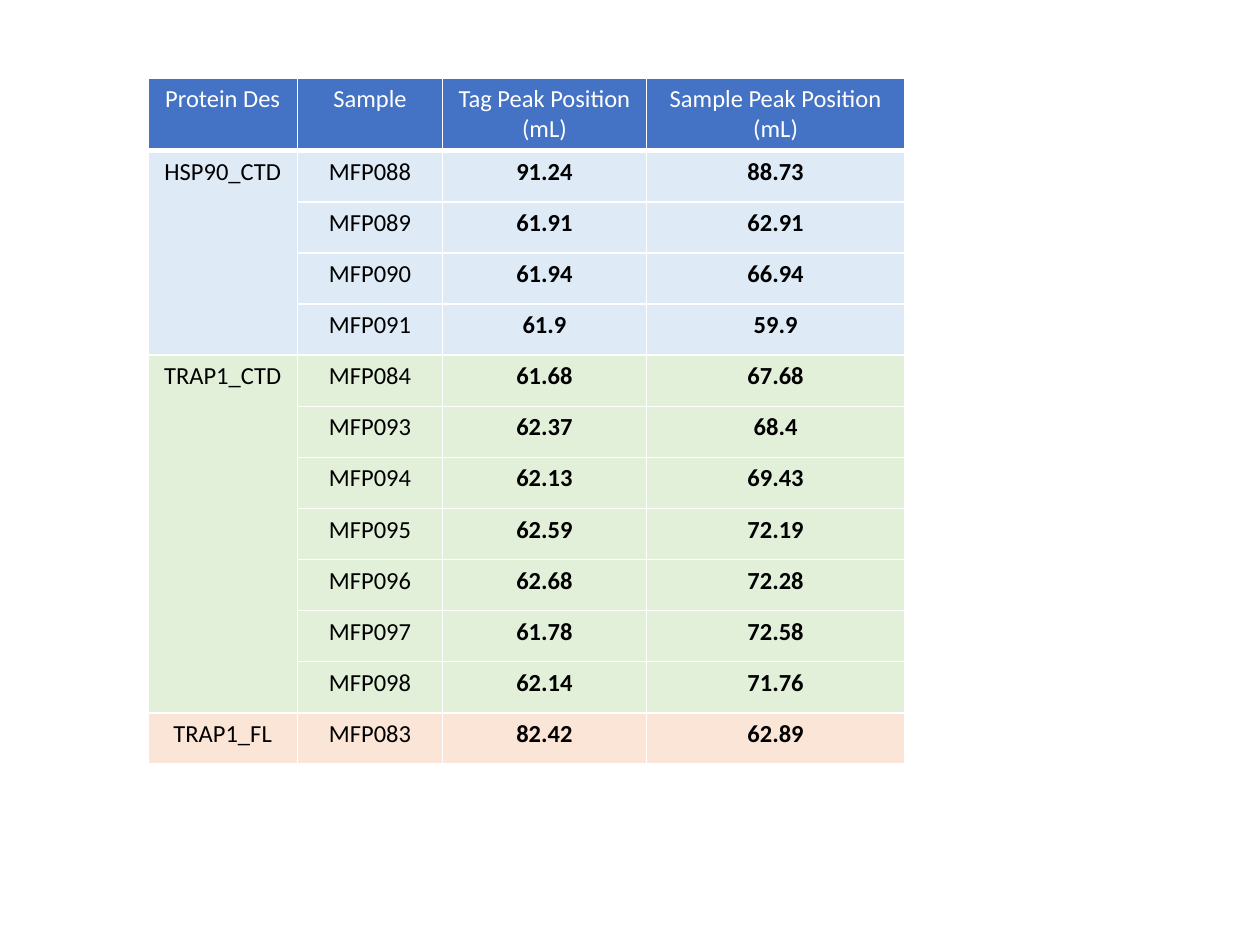
"""Build a slide with a table of protein tag and sample peak positions."""
from lxml import etree
from pptx import Presentation
from pptx import util as u
from pptx.dml.color import RGBColor
from pptx.enum import text
from pptx.oxml import ns

HEADERS = ["Protein Des", "Sample", "Tag Peak Position (mL)", "Sample Peak Position (mL)"]
GROUPS = [
    ("HSP90_CTD", "DEEBF7", [
        ("MFP088", "91.24", "88.73"),
        ("MFP089", "61.91", "62.91"),
        ("MFP090", "61.94", "66.94"),
        ("MFP091", "61.9", "59.9"),
    ]),
    ("TRAP1_CTD", "E2F0D9", [
        ("MFP084", "61.68", "67.68"),
        ("MFP093", "62.37", "68.4"),
        ("MFP094", "62.13", "69.43"),
        ("MFP095", "62.59", "72.19"),
        ("MFP096", "62.68", "72.28"),
        ("MFP097", "61.78", "72.58"),
        ("MFP098", "62.14", "71.76"),
    ]),
    ("TRAP1_FL", "FBE5D6", [("MFP083", "82.42", "62.89")]),
]
COL_WIDTHS = [3.02, 2.92, 4.11, 5.21]
HEADER_HEIGHT, ROW_HEIGHT = 1.46, 1.03


def rgb(value):
    return RGBColor.from_string(value)


class Deck:
    font, size = "Calibri", 14
    header_fill, header_text, body_text, rule = "4472C4", "FFFFFF", "000000", "FFFFFF"

    def __init__(self, prs):
        self.s = prs.slides.add_slide(prs.slide_layouts[6])

    def table(self, left, top, widths, heights):
        sp = self.s.shapes.add_table(
            len(heights), len(widths), u.Cm(left), u.Cm(top),
            u.Cm(sum(widths)), u.Cm(sum(heights)))
        for col, width in zip(sp.table.columns, widths):
            col.width = u.Cm(width)
        for row, height in zip(sp.table.rows, heights):
            row.height = u.Cm(height)
        return sp.table

    def borders(self, cell, **weights):
        tc_pr = cell._tc.get_or_add_tcPr()
        for side in "LRTB":
            ln = etree.SubElement(tc_pr, ns.qn(f"a:ln{side}"),
                                  w=str(u.Pt(weights.get(side, 1))))
            fill = etree.SubElement(ln, ns.qn("a:solidFill"))
            etree.SubElement(fill, ns.qn("a:srgbClr"), val=self.rule)

    def cell(self, cell, words, fill, color, bold=False, **weights):
        self.borders(cell, **weights)
        cell.fill.solid()
        cell.fill.fore_color.rgb = rgb(fill)
        p = cell.text_frame.paragraphs[0]
        p.alignment = text.PP_ALIGN.CENTER
        if words:
            r = p.add_run()
            r.text = words
            r.font.name, r.font.size, r.font.bold = self.font, u.Pt(self.size), bold
            r.font.color.rgb = rgb(color)

    def header(self, table, labels):
        for col, label in enumerate(labels):
            self.cell(table.cell(0, col), label, self.header_fill, self.header_text, B=3)

    def group(self, table, first, protein, fill, samples):
        for i, values in enumerate(samples):
            row = first + i
            for col, value in enumerate(("" if i else protein, *values)):
                self.cell(table.cell(row, col), value, fill, self.body_text,
                          bold=col > 1, T=3 if row == 1 else 1)
        last = first + len(samples) - 1
        if last > first:
            table.cell(first, 0).merge(table.cell(last, 0))
        return last + 1


def main():
    prs = Presentation()
    prs.slide_width, prs.slide_height = u.Cm(25.4), u.Cm(19.05)
    deck = Deck(prs)
    count = sum(len(samples) for _, _, samples in GROUPS)
    table = deck.table(2.98, 1.58, COL_WIDTHS, [HEADER_HEIGHT] + [ROW_HEIGHT] * count)
    deck.header(table, HEADERS)
    row = 1
    for protein, fill, samples in GROUPS:
        row = deck.group(table, row, protein, fill, samples)
    prs.save("out.pptx")


if __name__ == "__main__":
    main()
